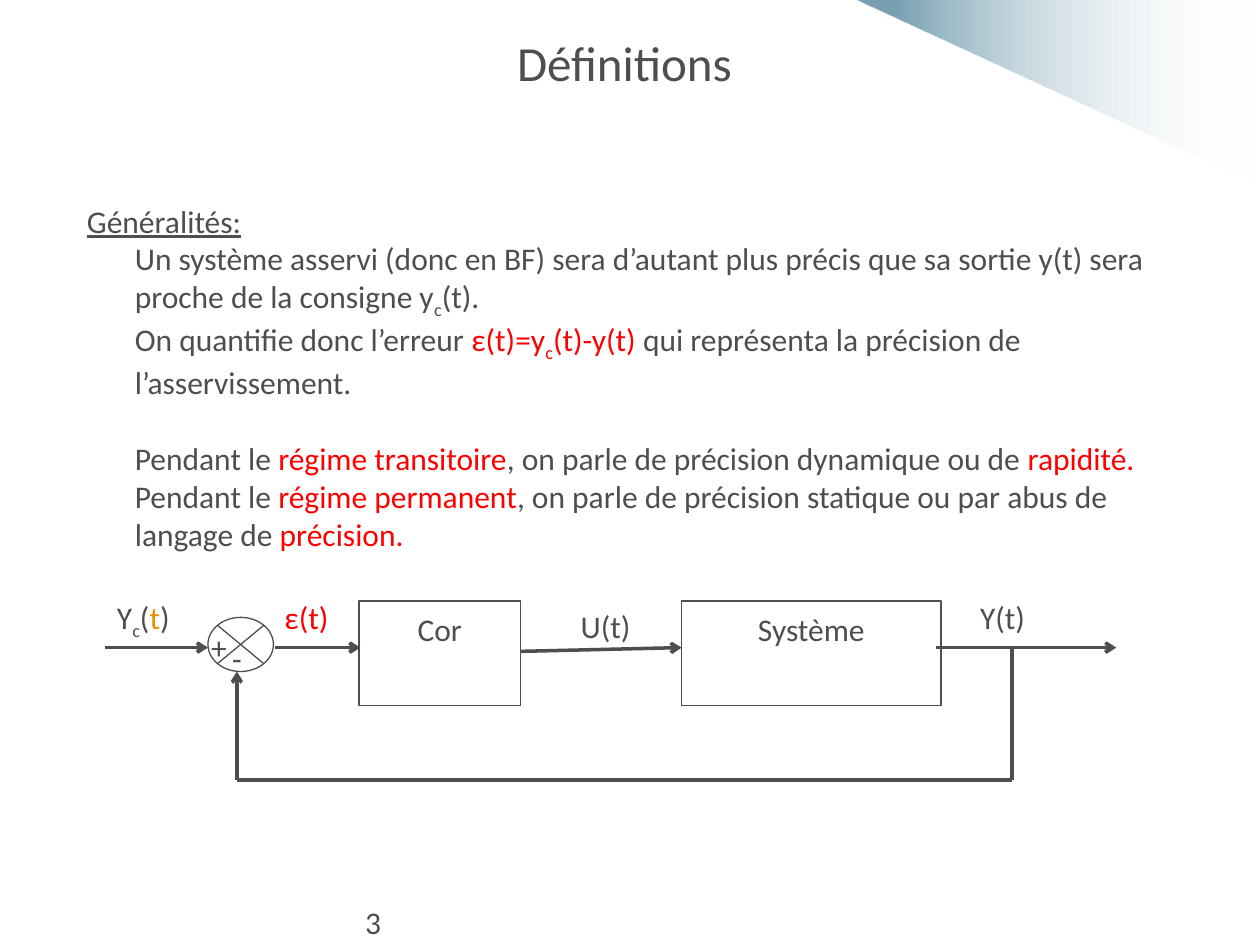
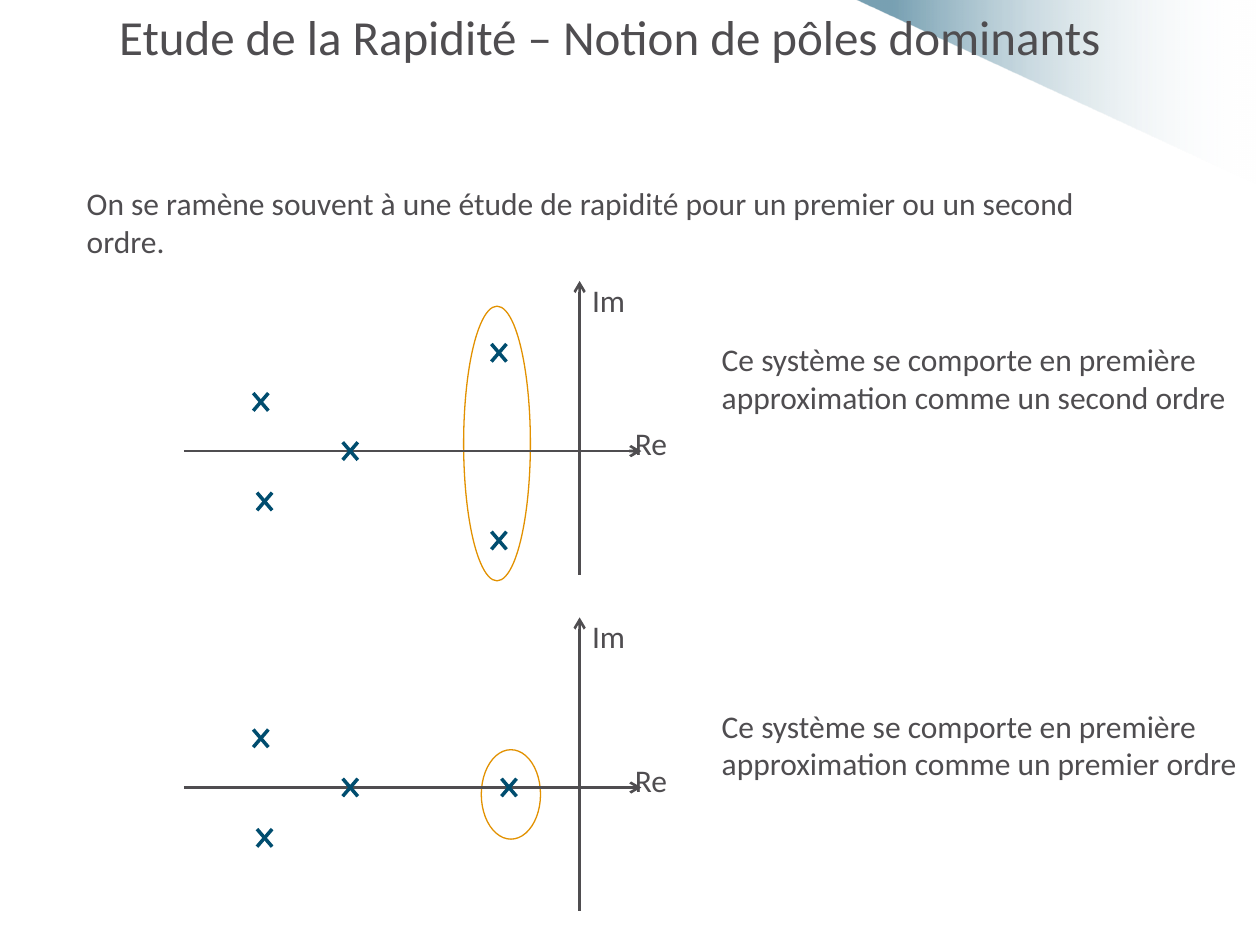
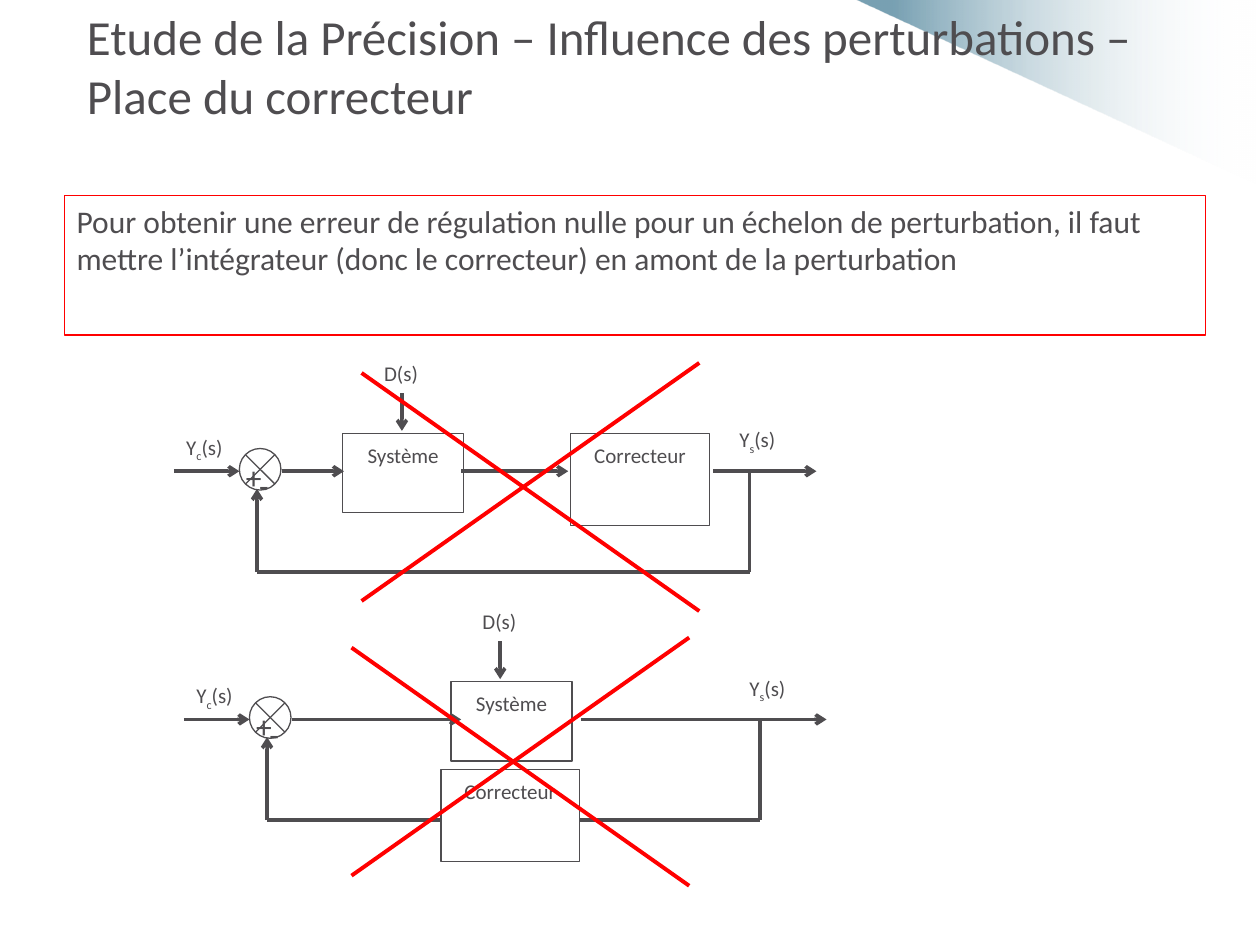
from lxml import etree
from pptx import Presentation
from pptx.dml.color import RGBColor
from pptx.enum.shapes import MSO_CONNECTOR, MSO_SHAPE
from pptx.enum.text import MSO_ANCHOR, MSO_AUTO_SIZE, PP_ALIGN
from pptx.oxml.ns import qn
from pptx.util import Inches, Pt

LEFT, CENTER = PP_ALIGN.LEFT, PP_ALIGN.CENTER
TOP, NO_FIT = MSO_ANCHOR.TOP, MSO_AUTO_SIZE.NONE
RECT, OVAL = MSO_SHAPE.RECTANGLE, MSO_SHAPE.OVAL
STRAIGHT = MSO_CONNECTOR.STRAIGHT
TITLE_AND_BODY, TITLE_ONLY = 1, 5

FONT = "Calibri"
COLORS = {
    "text": "4F4D50",
    "blue": "004D6F",
    "orange": "E29100",
    "red": "FF0000",
    "white": "FFFFFF",
}
RED = {"color": "red"}
SUB = {"sub": True}


def rgb(name):
    return RGBColor.from_string(COLORS[name])


def box(x, y, w, h):
    return Inches(x), Inches(y), Inches(w), Inches(h)


# Text
def add_run(p, text, size=18, color="text", underline=False, sub=False):
    r = p.add_run()
    r.text = text
    r.font.name, r.font.size = FONT, Pt(size)
    r.font.color.rgb = rgb(color)
    if underline:
        r.font.underline = True
    if sub:
        r._r.get_or_add_rPr().set("baseline", "-25000")


def write(p, content, align=LEFT, before=0, **fmt):
    """Write a string, or a list of strings and (string, format) pairs."""
    p.alignment = align
    p.space_before = Pt(before)
    for part in [content] if isinstance(content, str) else content:
        text, own = (part, {}) if isinstance(part, str) else part
        add_run(p, text, **{**fmt, **own})


def add_text(slide, content, x, y, w, h=0.43, wrap=True, **fmt):
    tf = slide.shapes.add_textbox(*box(x, y, w, h)).text_frame
    tf.word_wrap = wrap
    write(tf.paragraphs[0], content, **fmt)


def set_title(slide, text, x, y, align=CENTER):
    s = slide.shapes.title
    s.left, s.top, s.width, s.height = box(x, y, 8.5, 1.25)
    tf = s.text_frame
    tf.vertical_anchor, tf.auto_size = TOP, NO_FIT
    write(tf.paragraphs[0], text, align, size=28)


def set_body(slide, items, x, y, w, h):
    """Fill the body with (content, left indent, space before) items."""
    s = slide.placeholders[1]
    s.left, s.top, s.width, s.height = box(x, y, w, h)
    tf = s.text_frame
    tf.auto_size = NO_FIT
    for i, (content, indent, before) in enumerate(items):
        p = tf.add_paragraph() if i else tf.paragraphs[0]
        write(p, content, before=before)
        pPr = p._p.get_or_add_pPr()
        pPr.set("marL", str(Inches(indent)))
        pPr.set("indent", "0")
        etree.SubElement(pPr, qn("a:buNone"))


# Shapes and lines
def add_outline(slide, kind, x, y, w, h, color="text", fill=None):
    s = slide.shapes.add_shape(kind, *box(x, y, w, h))
    s.shadow.inherit = False
    if fill:
        s.fill.solid()
        s.fill.fore_color.rgb = rgb(fill)
    else:
        s.fill.background()
    s.line.color.rgb, s.line.width = rgb(color), Pt(0.75)
    return s


def add_block(slide, text, x, y, w, h, align=CENTER, top=0.07, size=18, **look):
    tf = add_outline(slide, RECT, x, y, w, h, **look).text_frame
    tf.word_wrap, tf.vertical_anchor = True, TOP
    tf.margin_top = Inches(top)
    write(tf.paragraphs[0], text, align, size=size)


def add_line(slide, x1, y1, x2, y2, color="text", width=2, arrow=False):
    c = slide.shapes.add_connector(
        STRAIGHT, Inches(x1), Inches(y1), Inches(x2), Inches(y2))
    c.line.color.rgb, c.line.width = rgb(color), Pt(width)
    if arrow:
        etree.SubElement(c.line._get_or_add_ln(), qn("a:tailEnd"), type="arrow")
    etree.SubElement(c.element.spPr, qn("a:effectLst"))


def add_arrow(slide, x1, y1, x2, y2, width=2):
    add_line(slide, x1, y1, x2, y2, width=width, arrow=True)


def add_cross(slide, x, y, w, h, **look):
    add_line(slide, x, y, x + w, y + h, **look)
    add_line(slide, x + w, y, x, y + h, **look)


# Master: gradient corner band, moved behind the placeholders
def add_corner_band(prs, slide):
    builder = slide.shapes.build_freeform(Inches(6.79), 0)
    builder.add_line_segments([(Inches(10), 0), (Inches(9.99), Inches(1.47))])
    band = builder.convert_to_shape()
    band.shadow.inherit = False
    band.line.fill.background()
    band.fill.gradient()
    band.fill.gradient_angle = 0
    stops = [(0.09, "blue", 53), (0.99, "white", 0)]
    for stop, (position, color, alpha) in zip(band.fill.gradient_stops, stops):
        stop.position, stop.color.rgb = position, rgb(color)
        clr = stop._gs.find(qn("a:srgbClr"))
        etree.SubElement(clr, qn("a:alpha"), val=str(alpha * 1000))
    prs.slide_master.shapes.element.insert(2, band.element)


# Control diagrams
def add_summing_point(slide, x, y, w, h):
    add_cross(slide, x + 0.15 * w, y + 0.15 * h, 0.7 * w, 0.7 * h, width=0.75)
    add_outline(slide, OVAL, x, y, w, h)
    add_text(slide, "+", x - 0.14 * w, y + 0.09 * h, 0.5)
    add_text(slide, "-", x + 0.18 * w, y + 0.28 * h, 0.33, wrap=False)


def add_feedback(slide, left, right, bottom, start, end):
    add_arrow(slide, left, bottom, left, end)
    add_line(slide, right, bottom, right, start)
    add_line(slide, left, bottom, right, bottom)


def add_disturbed_loop(slide, x, y, system_x, corrector, arrows, fill=None):
    """Loop whose input arrow starts at (x, y); the system is at system_x."""
    add_summing_point(slide, x + 0.52, y - 0.18, 0.33, 0.33)
    add_feedback(slide, x + 0.66, x + 4.57, y + 0.8, y, y + 0.14)
    add_arrow(slide, x, y, x + 0.52, y)
    for start, end in arrows:
        add_arrow(slide, start, y, end, y)
    add_text(slide, ["Y", ("c", SUB), "(s)"], x, y - 0.34, 0.96, 0.3, size=12)
    add_text(slide, ["Y", ("s", SUB), "(s)"], x + 4.39, y - 0.4, 0.96, 0.3, size=12)
    add_block(slide, "Système", system_x, y - 0.3, 0.96, 0.63, size=12)
    add_block(slide, "Correcteur", *corrector, 1.1, 0.73, size=12, fill=fill)


def add_disturbance(slide, x, y):
    add_arrow(slide, x, y, x, y + 0.3)
    add_text(slide, "D(s)", x - 0.24, y - 0.31, 0.95, 0.3, size=12)


def add_rejection(slide, x, y):
    look = {"color": "red", "width": 2.25}
    add_line(slide, x + 2.68, y, x, y + 1.89, **look)
    add_line(slide, x, y + 0.08, x + 2.68, y + 1.97, **look)


# Complex plane: poles are (x, height below the real axis)
def add_pole_map(slide, axis_y, poles, dominant):
    add_outline(slide, OVAL, *dominant, color="orange")
    add_arrow(slide, 4.6, axis_y + 0.98, 4.6, axis_y - 1.35, width=1.5)
    add_arrow(slide, 1.46, axis_y, 5.09, axis_y, width=1.5)
    add_text(slide, "Im", 4.6, axis_y - 1.4, 1.11)
    add_text(slide, "Re", 4.94, axis_y - 0.26, 0.93)
    for x, dy in poles:
        add_cross(slide, x - 0.06, axis_y + dy - 0.07, 0.12, 0.14, color="blue")


# Slides
def build_definitions(slide):
    set_title(slide, "Définitions ", 0.75, 0.21)
    set_body(slide, [
        ([("Généralités:", {"underline": True})], 0, 0),
        (["Un système asservi (donc en BF) sera d’autant plus précis que sa "
          "sortie y(t) sera proche de la consigne y", ("c", SUB), "(t)."], 0.38, 0),
        (["On quantifie donc l’erreur ", ("ε(t)=y", RED), ("c", {**RED, **SUB}),
          ("(t)-y(t)", RED),
          " qui représenta la précision de l’asservissement."], 0.38, 0),
        (["Pendant le ", ("régime transitoire", RED),
          ", on parle de précision dynamique ou de ", ("rapidité.", RED)], 0.38, 22),
        (["Pendant le ", ("régime permanent", RED),
          ", on parle de précision statique ou par abus de langage de ",
          ("précision.", RED)], 0.38, 0),
    ], 0.59, 1.55, 8.66, 3.1)
    add_text(slide, "3", 2.8, 7.12, 5.5, 0.24)

    # Closed loop
    axis = 5.14
    add_feedback(slide, 1.88, 8.03, 6.19, axis, 5.33)
    add_block(slide, "Cor", 2.85, 4.77, 1.28, 0.83)
    add_block(slide, "Système", 5.41, 4.77, 2.06, 0.83)
    add_summing_point(slide, 1.65, 4.9, 0.52, 0.43)
    for start, end in [(0.83, 1.65), (2.18, 2.86), (7.43, 8.86)]:
        add_arrow(slide, start, axis, end, axis)
    add_arrow(slide, 4.13, 5.17, 5.41, axis)
    labels = [
        (["Y", ("c", SUB), "(", ("t", {"color": "orange"}), ")"], 0.83, 4.7),
        ([("ε(t)", RED)], 2.16, 4.7),
        ("U(t)", 4.51, 4.77),
        ("Y(t)", 7.68, 4.7),
    ]
    for content, x, y in labels:
        add_text(slide, content, x, y, 1.5)


def build_dominant_poles(slide):
    set_title(slide, "Etude de la Rapidité – Notion de pôles dominants", 0.59, 0)
    add_text(slide, "On se ramène souvent à une étude de rapidité pour un "
             "premier ou un second ordre.", 0.59, 1.41, 8.66, 0.77)
    fast = [(2.1, 0.4), (2.07, -0.39), (2.78, 0)]
    add_pole_map(slide, 3.58, fast + [(3.96, -0.78), (3.96, 0.71)],
                 (3.68, 2.43, 0.53, 2.18))
    add_pole_map(slide, 6.25, fast + [(4.04, 0)], (3.82, 5.95, 0.47, 0.71))
    for order, y in [("second", 2.65), ("premier", 5.56)]:
        add_text(slide, "Ce système se comporte en première approximation "
                 f"comme un {order} ordre", 5.63, y, 4.37, 1.1)


def build_corrector_place(slide):
    set_title(slide, "Etude de la Précision – Influence des perturbations – "
              "Place du correcteur", 0.59, 0, LEFT)
    add_block(slide, "Pour obtenir une erreur de régulation nulle pour un échelon "
              "de perturbation, il faut mettre l’intégrateur (donc le correcteur) "
              "en amont de la perturbation",
              0.51, 1.55, 9.06, 1.11, align=LEFT, top=0.05, color="red")
    # Corrector after the system
    add_disturbed_loop(slide, 1.38, 3.74, 2.72, (4.53, 3.44),
                       [(2.24, 2.73), (3.66, 4.51), (5.66, 6.48)])
    add_disturbance(slide, 3.19, 3.12)
    # Corrector in the feedback path
    add_disturbed_loop(slide, 1.46, 5.71, 3.58, (3.5, 6.11),
                       [(2.32, 3.66), (4.61, 6.56)], fill="white")
    add_disturbance(slide, 3.97, 5.09)
    add_rejection(slide, 2.87, 2.88)
    add_rejection(slide, 2.79, 5.06)


def main():
    prs = Presentation()
    prs.slide_width, prs.slide_height = Inches(10), Inches(7.5)
    pages = [
        (TITLE_AND_BODY, build_definitions),
        (TITLE_ONLY, build_dominant_poles),
        (TITLE_ONLY, build_corrector_place),
    ]
    for layout, build in pages:
        build(prs.slides.add_slide(prs.slide_layouts[layout]))
    add_corner_band(prs, prs.slides[0])
    prs.save("out.pptx")


if __name__ == "__main__":
    main()
